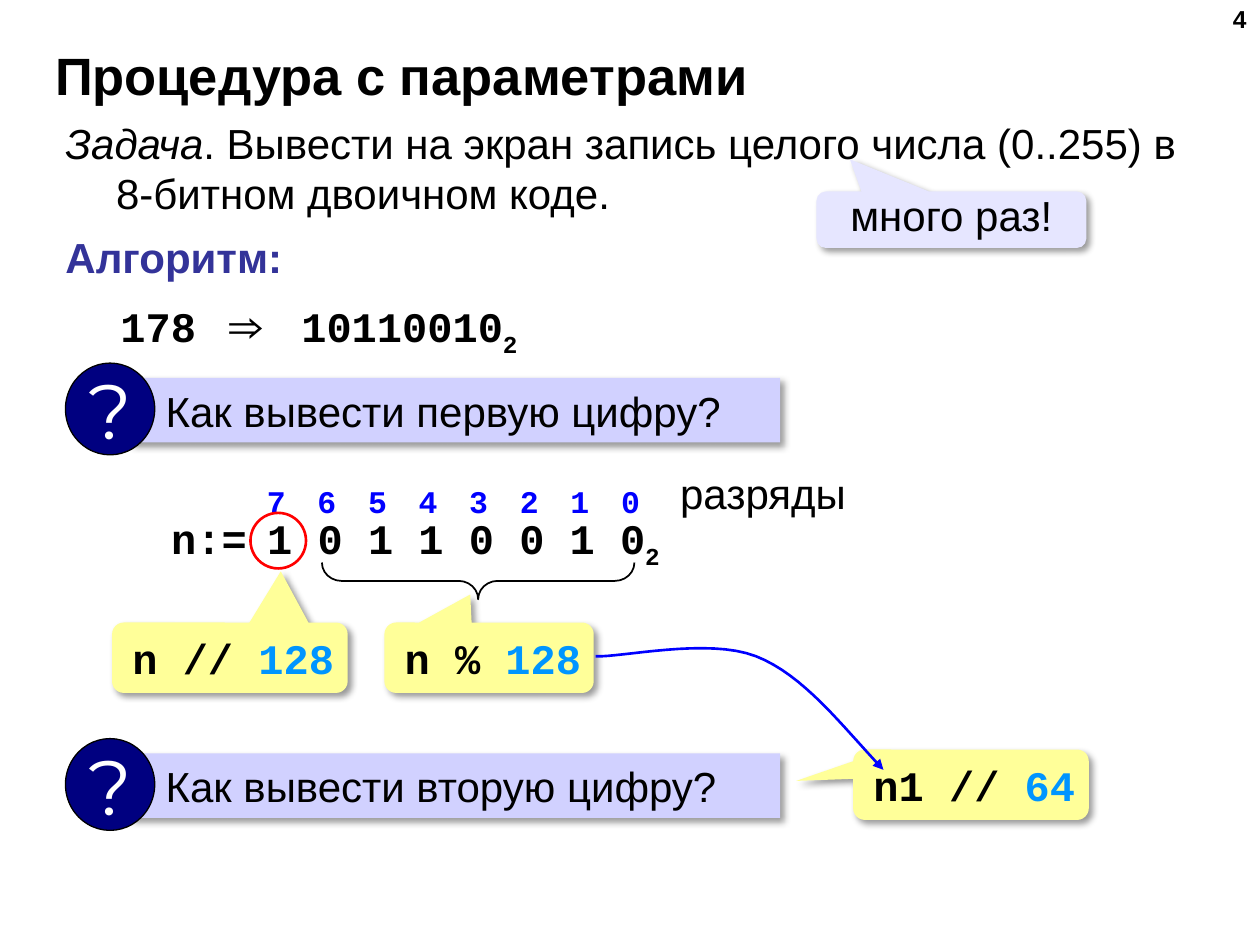
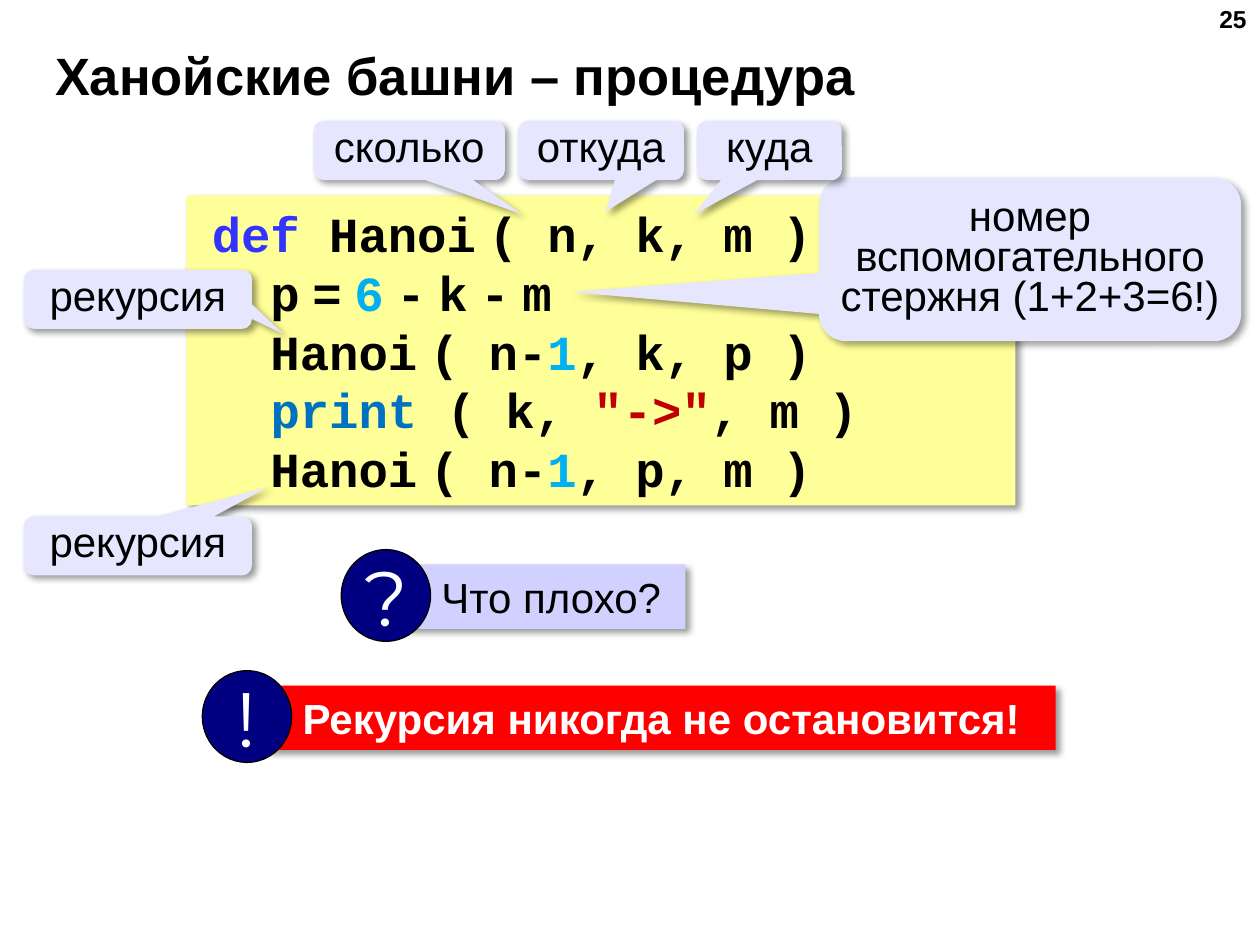
from dataclasses import dataclass
from lxml import etree
from pptx import Presentation, util as u
from pptx.dml.color import RGBColor
from pptx.enum import shapes, text
from pptx.oxml import ns


@dataclass(frozen=True)
class Theme:
    body: str = "Arial"
    code: str = "Courier New"
    sign: str = "Montserrat"
    black: str = "000000"
    white: str = "FFFFFF"
    heading: str = "333399"
    badge: str = "000080"
    question: str = "D1D1FF"
    alarm: str = "FF0000"
    hint: str = "E6E6FF"
    listing: str = "FFFF99"
    bits: str = "0000FF"
    number: str = "0095FF"
    keyword: str = "3333FF"
    digit: str = "00B0F0"
    function: str = "0070C0"
    string: str = "C00000"
    title_size: int = 30
    page_size: int = 14
    body_size: int = 24
    code_size: int = 28
    bit_size: int = 18
    sign_size: int = 44
    thin_size: int = 12


theme = Theme()
forms = shapes.MSO_SHAPE
LEFT, CENTER, RIGHT = text.PP_ALIGN.LEFT, text.PP_ALIGN.CENTER, text.PP_ALIGN.RIGHT


def place(slide, box, lines, form=None, fill=None, line=None, width=0.75, shadow=True,
          adjust=(), face=theme.body, size=theme.body_size, color=theme.black, bold=False,
          align=LEFT, wrap=False, middle=True, inset=0.25, spacing=None):
    edges = [u.Cm(value) for value in box]
    if form is None:
        item = slide.shapes.add_textbox(*edges)
    else:
        item = slide.shapes.add_shape(form, *edges)
        for index, value in enumerate(adjust):
            item.adjustments[index] = value
        item.shadow.inherit = False
        if fill:
            item.fill.solid()
            item.fill.fore_color.rgb = RGBColor.from_string(fill)
        else:
            item.fill.background()
        if line:
            item.line.color.rgb = RGBColor.from_string(line)
            item.line.width = u.Pt(width)
        else:
            item.line.fill.background()
        if shadow:
            effects = item._element.spPr.find(ns.qn("a:effectLst"))
            outer = etree.SubElement(effects, ns.qn("a:outerShdw"), blurRad="50800",
                                     dist="38100", dir="2700000", algn="tl", rotWithShape="0")
            tint = etree.SubElement(outer, ns.qn("a:srgbClr"), val=theme.black)
            etree.SubElement(tint, ns.qn("a:alpha"), val="40000")
    frame = item.text_frame
    frame.word_wrap = wrap
    frame.vertical_anchor = text.MSO_ANCHOR.MIDDLE if middle else text.MSO_ANCHOR.TOP
    frame.margin_left = u.Cm(inset)
    for index, parts in enumerate(lines):
        paragraph = frame.add_paragraph() if index else frame.paragraphs[0]
        paragraph.alignment = align
        if spacing:
            paragraph.line_spacing = spacing
        for part in parts:
            words, style = (part, {}) if isinstance(part, str) else part
            run = paragraph.add_run()
            run.text = words
            run.font.name = face
            run.font.size = u.Pt(style.get("size", size))
            run.font.bold = bold
            run.font.italic = style.get("italic", False)
            run.font.color.rgb = RGBColor.from_string(style.get("color", color))
            if style.get("low"):
                run.font._element.set("baseline", "-25000")
    return item


deck = Presentation()
deck.slide_width, deck.slide_height = u.Cm(25.4), u.Cm(19.05)
pages = []
for title, page in [("Процедура с параметрами", "4"), ("Ханойские башни – процедура", "25")]:
    slide = deck.slides.add_slide(deck.slide_layouts[6])
    place(slide, (0.86, 0.84, 23.27, 1.32), [[title]], size=theme.title_size, bold=True, wrap=True)
    place(slide, (19.46, -0.05, 5.92, 1.32), [[page]], size=theme.page_size, bold=True,
          align=RIGHT, wrap=True, middle=False)
    pages.append(slide)
procedure, hanoi = pages

task = place(procedure, (1.07, 2.24, 23.55, 2.31),
             [[("Задача", dict(italic=True)),
               ". Вывести на экран запись целого числа (0..255) в 8-битном двоичном коде."]],
             wrap=True, middle=False)
hanging = task.text_frame.paragraphs[0]._p.get_or_add_pPr()
hanging.set("marL", str(u.Cm(1.02)))
hanging.set("indent", str(-u.Cm(1.02)))
place(procedure, (1.07, 4.55, 4.93, 1.3), [["Алгоритм:"]], color=theme.heading, bold=True,
      middle=False)

base_two = ("2", dict(low=True))
for box, parts, align in [
    ((2.16, 5.94, 2.06, 1.3), ["178"], CENTER),
    ((4.29, 5.94, 1.35, 1.3), ["⇒"], CENTER),
    ((5.69, 5.94, 5.13, 1.3), ["10110010", base_two], CENTER),
    ((5.08, 10.21, 8.53, 1.3), ["1 0 1 1 0 0 1 0", base_two], CENTER),
    ((3.2, 10.21, 2.06, 1.3), ["n:="], LEFT),
]:
    place(procedure, box, [parts], face=theme.code, bold=True, align=align, middle=False)

positions = place(procedure, (5.13, 9.6, 8.23, 1.02), [], middle=False)
places = positions.text_frame.paragraphs[0]
places.text = "\t".join(str(bit) for bit in range(7, -1, -1))
stops = etree.SubElement(places._p.get_or_add_pPr(), ns.qn("a:tabLst"))
for step in range(1, 8):
    etree.SubElement(stops, ns.qn("a:tab"), pos=str(u.Cm(1.02 * step)), algn="l")
for run in places.runs:
    run.font.name, run.font.size, run.font.bold = theme.code, u.Pt(theme.bit_size), True
    run.font.color.rgb = RGBColor.from_string(theme.bits)
place(procedure, (13.46, 9.3, 3.89, 1.3), [["разряды"]], middle=False)
place(procedure, (5.05, 10.34, 1.12, 1.12), [], forms.OVAL, line=theme.alarm, width=1.5,
      shadow=False)
brace = place(procedure, (9.27, 8.56, 0.74, 6.3), [], forms.LEFT_BRACE, line=theme.black,
              width=1, shadow=False, adjust=(0.53, 0.5))
brace.rotation = 270

for box, tail, operation, divisor in [
    ((2.26, 12.55, 4.75, 1.42), (0.216, -1.227), "n // ", "128"),
    ((7.75, 12.55, 4.22, 1.42), (-0.09, -0.898), "n % ", "128"),
    ((17.2, 15.11, 4.75, 1.42), (-0.742, -0.054), "n1 // ", "64"),
]:
    place(procedure, box, [[operation, (divisor, dict(color=theme.number))]],
          forms.ROUNDED_RECTANGULAR_CALLOUT, theme.listing, adjust=tail, face=theme.code,
          bold=True, inset=0.34)

curves = [
    [(17.81, 15.52), (16.97, 14.63), (16.21, 13.61), (15.24, 13.23)],
    [(15.24, 13.23), (14.27, 12.85), (12.5, 13.26), (12.01, 13.23)],
]
steps = 16
track = []
for curve in curves:
    for step in range(1, steps + 1):
        t = step / steps
        weights = ((1 - t) ** 3, 3 * t * (1 - t) ** 2, 3 * t * t * (1 - t), t ** 3)
        track.append(tuple(u.Cm(sum(w * point[axis] for w, point in zip(weights, curve)))
                           for axis in (0, 1)))
outline = procedure.shapes.build_freeform(*(u.Cm(value) for value in curves[0][0]))
outline.add_line_segments(track, close=False)
remainder = outline.convert_to_shape()
remainder.shadow.inherit = False
remainder.fill.background()
remainder.line.color.rgb = RGBColor.from_string(theme.bits)
remainder.line.width = u.Pt(1.5)
etree.SubElement(remainder.line._get_or_add_ln(), ns.qn("a:headEnd"), type="triangle")

thin = (" ", dict(size=theme.thin_size))
one = ("1", dict(color=theme.digit))
place(hanoi, (3.76, 3.94, 16.71, 6.25), [
    [("def", dict(color=theme.keyword)), " Hanoi", thin, "( n, k, m ):"],
    ["  p", thin, "=", thin, ("6", dict(color=theme.digit)), thin, "-", thin, "k", thin, "-",
     thin, "m"],
    ["  Hanoi", thin, "( n-", one, ", k, p )"],
    ["  ", ("print", dict(color=theme.function)), " ( k, ",
     ('"->"', dict(color=theme.string)), ", m )"],
    ["  Hanoi", thin, "( n-", one, ", p, m )"],
], forms.RECTANGLE, theme.listing, face=theme.code, size=theme.code_size, bold=True,
    wrap=True, inset=0.51)

for slide, box, tail, hint in [
    (procedure, (16.46, 3.86, 5.44, 1.14), (-0.376, -1.069), "много раз!"),
    (hanoi, (16.51, 3.58, 8.51, 3.3), (-1.089, 0.199),
     "номер вспомогательного стержня (1+2+3=6!)"),
    (hanoi, (6.32, 2.44, 3.86, 1.19), (0.589, 1.079), "сколько"),
    (hanoi, (10.44, 2.44, 3.35, 1.19), (0.029, 1.035), "откуда"),
    (hanoi, (14.05, 2.44, 2.92, 1.19), (-0.522, 1.083), "куда"),
    (hanoi, (0.48, 5.44, 4.6, 1.19), (0.638, 0.587), "рекурсия"),
    (hanoi, (0.48, 10.41, 4.6, 1.19), (0.568, -0.993), "рекурсия"),
]:
    place(slide, box, [[hint]], forms.ROUNDED_RECTANGULAR_CALLOUT, theme.hint, adjust=tail,
          align=CENTER, wrap=True, spacing=0.8)

for slide, left, top, width, sign, message in [
    (procedure, 2.62, 7.62, 13.11, "?", "Как вывести первую цифру?"),
    (procedure, 2.62, 15.19, 13.11, "?", "Как вывести вторую цифру?"),
    (hanoi, 8.18, 11.38, 5.64, "?", "Что плохо?"),
    (hanoi, 5.38, 13.82, 15.9, "!", "Рекурсия никогда не остановится!"),
]:
    alarm = sign == "!"
    place(slide, (left, top, width, 1.3), [[message]], forms.RECTANGLE,
          theme.alarm if alarm else theme.question,
          color=theme.white if alarm else theme.black, bold=alarm, wrap=True, inset=0.72)
    place(slide, (left - 1.3, top - 0.3, 1.8, 1.85), [[sign]], forms.OVAL, theme.badge,
          line=theme.black, shadow=False, face=theme.sign, size=theme.sign_size,
          color=theme.white, align=CENTER)

deck.save("out.pptx")
